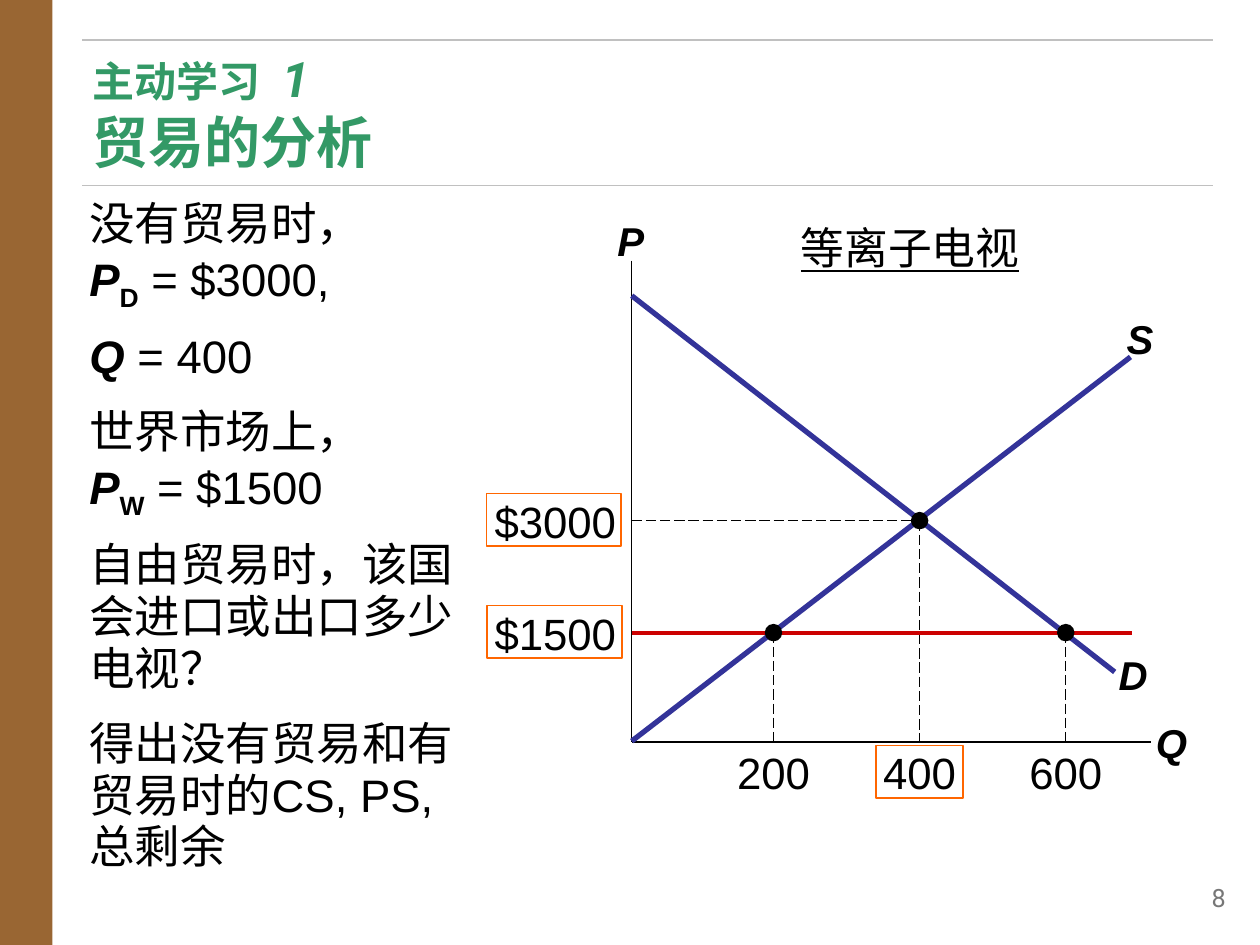
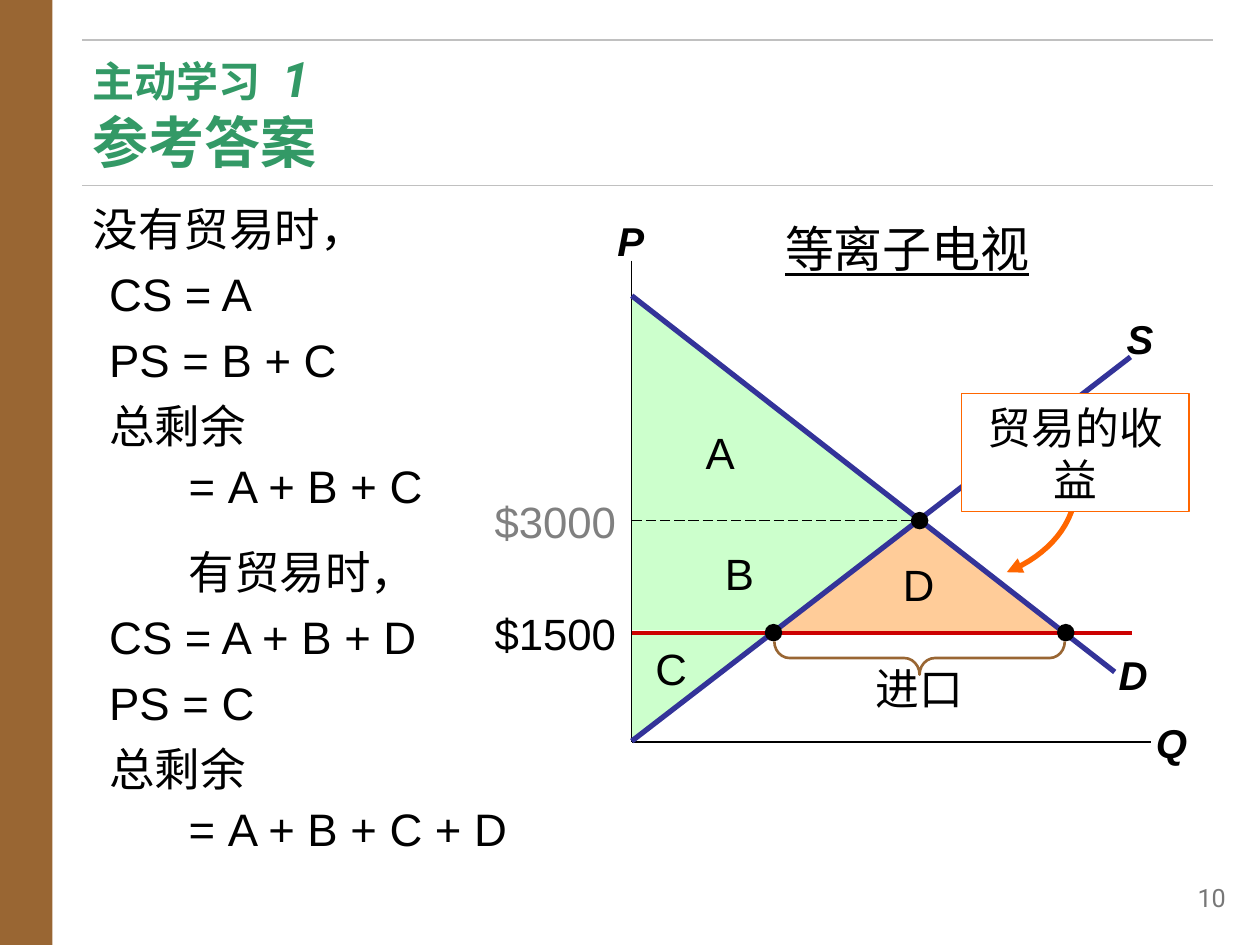
from lxml import etree
from pptx import Presentation
from pptx.dml.color import RGBColor
from pptx.enum import dml, shapes, text
from pptx.oxml import ns
from pptx.util import Pt

BROWN, GREEN, RULE, PAGE_GREY = "996633", "339966", "C0C0C0", "777777"
BLACK, WHITE, BLUE, RED, ORANGE = "000000", "FFFFFF", "333399", "CC0000", "FF6600"
SURPLUS, GAINS, FADED = "CCFFCC", "FFCC99", "808080"
VARIABLE = {"bold": True, "italic": True}
CENTER, RIGHT = text.PP_ALIGN.CENTER, text.PP_ALIGN.RIGHT
TOP, MIDDLE = text.MSO_ANCHOR.TOP, text.MSO_ANCHOR.MIDDLE

AXIS_X, AXIS_Y = 361, 424
DOMESTIC_Y, WORLD_Y = 297.5, 361.5
QUANTITIES = {name: 442 + 83.5 * i for i, name in enumerate(("200", "400", "600"))}
SUPPLIED, TRADELESS, DEMANDED = QUANTITIES.values()


def color(value):
    """Turn a hex string into a colour."""
    return RGBColor.from_string(value)


class Deck:
    """Holds the style and the current slide."""

    def __init__(self):
        """Start an empty 10 by 7.5 inch presentation."""
        self.prs = Presentation()
        self.prs.slide_width, self.prs.slide_height = Pt(720), Pt(540)
        self.slide = None

    def page(self, heading, number):
        """Add a slide with band, rules, heading and page number."""
        self.slide = self.prs.slides.add_slide(self.prs.slide_layouts[6])
        self.shape("RECTANGLE", 0, 0, 30, 540, fill=BROWN)
        title = {"name": "Roboto", "size": Pt(24), "bold": True}
        runs = [("主动学习\t", {}), ("1", {"size": Pt(28), "italic": True}),
                ("\n" + heading, {"size": Pt(32), "name": "Vollkorn"})]
        self.text([(runs, {})], 46, 28, 647, 75, title, GREEN, tab=114)
        for y in (23, 106):
            self.line(47, y, 693, y, RULE, 1)
        self.label(number, 650, 504, 50.5, 18, 14.4, PAGE_GREY, RIGHT, name="Roboto")

    def shape(self, kind, x, y, w, h, fill=None, line=None, width=1):
        """Add a preset shape."""
        shape = self.slide.shapes.add_shape(
            shapes.MSO_SHAPE[kind], Pt(x), Pt(y), Pt(w), Pt(h))
        shape.shadow.inherit = False
        self.paint(shape, fill, line, width)
        return shape

    def paint(self, shape, fill, line, width):
        """Set fill and outline of a shape, None meaning empty."""
        for target, value in ((shape.fill, fill), (shape.line.fill, line)):
            if value:
                target.solid()
                target.fore_color.rgb = color(value)
            else:
                target.background()
        if line:
            shape.line.width = Pt(width)

    def line(self, x1, y1, x2, y2, ink=BLACK, width=0.75, dashed=False):
        """Add a straight line."""
        line = self.slide.shapes.add_connector(
            shapes.MSO_CONNECTOR.STRAIGHT, Pt(x1), Pt(y1), Pt(x2), Pt(y2))
        line.line.color.rgb = color(ink)
        line.line.width = Pt(width)
        if dashed:
            line.line.dash_style = dml.MSO_LINE.LONG_DASH
        etree.SubElement(line._element.spPr, ns.qn("a:effectLst"))

    def curved_arrow(self, tip, pull_tip, pull_tail, tail, ink, width):
        """Add a Bezier curve with an arrowhead at the tip."""
        steps = [i / 16 for i in range(17)]
        points = [tuple(Pt((1 - t) ** 3 * a + 3 * t * (1 - t) ** 2 * b
                           + 3 * t * t * (1 - t) * c + t ** 3 * d)
                        for a, b, c, d in zip(tip, pull_tip, pull_tail, tail))
                  for t in steps]
        builder = self.slide.shapes.build_freeform(*points[0])
        builder.add_line_segments(points[1:], close=False)
        arrow = builder.convert_to_shape()
        arrow.shadow.inherit = False
        self.paint(arrow, None, ink, width)
        etree.SubElement(arrow.line._get_or_add_ln(), ns.qn("a:headEnd"), type="triangle")

    def text(self, paragraphs, x, y, w, h, font, ink=BLACK, anchor=TOP,
             inset=(7.2, 0), tab=None):
        """Add a text box of (runs, paragraph format) pairs."""
        box = self.slide.shapes.add_textbox(Pt(x), Pt(y), Pt(w), Pt(h))
        self.fill_frame(box.text_frame, paragraphs, font, ink, anchor, inset, tab)

    def fill_frame(self, frame, paragraphs, font, ink=BLACK, anchor=MIDDLE,
                   inset=(7.2, 3.6), tab=None):
        """Fill a text frame."""
        side, edge = (Pt(value) for value in inset)
        layout = {"word_wrap": True, "vertical_anchor": anchor, "margin_left": side,
                  "margin_right": side, "margin_top": edge, "margin_bottom": edge}
        for key, value in layout.items():
            setattr(frame, key, value)
        for i, (runs, form) in enumerate(paragraphs):
            paragraph = frame.add_paragraph() if i else frame.paragraphs[0]
            props = paragraph._p.get_or_add_pPr()
            form = dict(form)
            for key in ("marL", "indent"):
                props.set(key, str(Pt(form.pop(key, 0))))
            if tab:
                stops = etree.SubElement(props, ns.qn("a:tabLst"))
                etree.SubElement(stops, ns.qn("a:tab"), pos=str(Pt(tab)), algn="l")
            if not i:
                form["space_before"] = Pt(0)
            for key, value in form.items():
                setattr(paragraph, key, value)
            for words, extra in runs:
                self.run(paragraph, words, {**font, **extra}, ink)

    def run(self, paragraph, words, font, ink):
        """Add words in one format, with a line break at each newline."""
        baseline = font.pop("baseline", None)
        for i, piece in enumerate(words.split("\n")):
            if i:
                paragraph.add_line_break()
            if not piece:
                continue
            run = paragraph.add_run()
            run.text = piece
            for key, value in font.items():
                setattr(run.font, key, value)
            run.font.color.rgb = color(ink)
            if baseline:
                run._r.get_or_add_rPr().set("baseline", str(baseline))

    def label(self, words, x, y, w, h, size=25, ink=BLACK, align=CENTER, **extra):
        """Add a one-line label without insets."""
        font = {"name": "Arial", "size": Pt(size), **extra}
        self.text([([(words, {})], {"alignment": align})], x, y, w, h, font, ink,
                  MIDDLE, (0, 0))

    def body(self, paragraphs, x, y, w, h):
        """Add the main text."""
        self.text(paragraphs, x, y, w, h, {"name": "Arial", "size": Pt(26)},
                  inset=(7.2, 3.6))

    def price(self, words, y, ink=BLACK):
        """Add a price label left of the vertical axis."""
        self.label(words, 272, y - 15, 80, 30, ink=ink, align=RIGHT)

    def dot(self, x, y):
        """Mark a point of the market diagram."""
        self.shape("OVAL", x - 5, y - 5, 10, 10, fill=BLACK)

    def market(self, domestic_ink=BLACK):
        """Draw axes, curves and prices with the three marked points."""
        self.line(AXIS_X, 149, AXIS_X, AXIS_Y)
        self.line(AXIS_X, AXIS_Y, 658, AXIS_Y)
        self.line(AXIS_X, 169, 637, 384, BLUE, 3)
        self.line(AXIS_X, 423.5, 646, 204, BLUE, 3)
        for name, x, y in (("P", 346, 120), ("Q", 655, 407), ("D", 633, 368), ("S", 637, 176)):
            self.label(name, x, y, 29, 35, 23, **VARIABLE)
        self.line(AXIS_X, WORLD_Y, 647, WORLD_Y, RED, 2.25)
        self.line(AXIS_X, DOMESTIC_Y, TRADELESS, DOMESTIC_Y, dashed=True)
        self.price("$1500", WORLD_Y)
        self.price("$3000", DOMESTIC_Y, domestic_ink)
        for x, y in ((SUPPLIED, WORLD_Y), (TRADELESS, DOMESTIC_Y), (DEMANDED, WORLD_Y)):
            self.dot(x, y)


def question(deck):
    """Build the slide that sets the exercise."""
    deck.page("贸易的分析", "8")
    index = {"bold": True, "baseline": -25000}
    texts = [
        [("没有贸易时，\n", {}), ("P", VARIABLE), ("D", index), (" = $3000,", {})],
        [("Q", VARIABLE), (" = 400", {})],
        [("世界市场上，\n", {}), ("P", VARIABLE), ("W", index), (" = $1500", {})],
        [("自由贸易时，该国会进口或出口多少电视？", {})],
        [("得出没有贸易和有贸易时的CS, PS, 总剩余", {})]]
    spacing = {"line_spacing": 0.95, "space_before": Pt(13)}
    deck.body([(runs, spacing) for runs in texts], 44, 110, 230, 415)
    for (name, x), y in zip(QUANTITIES.items(), (WORLD_Y, DOMESTIC_Y, WORLD_Y)):
        deck.line(x, y, x, AXIS_Y, dashed=True)
        deck.label(name, x - 29, 426, 58, 30)
    deck.market()
    deck.label("等离子电视", 445, 126, 150, 30, underline=True)
    for x, y, w in ((500.5, 426, 50), (278, 282, 77), (278.5, 346, 77)):
        deck.shape("RECTANGLE", x, y, w, 30, line=ORANGE)


def answer(deck):
    """Build the slide with the solution."""
    deck.page("参考答案", "10")
    deck.shape("RIGHT_TRIANGLE", AXIS_X, 170.5, 244, 189.5, fill=SURPLUS)
    deck.shape("ISOSCELES_TRIANGLE", 443, 297, 164, 64, fill=GAINS)
    producer = deck.shape("RIGHT_TRIANGLE", AXIS_X, WORLD_Y, 78.5, 61, fill=SURPLUS)
    producer._element.spPr.xfrm.set("flipV", "1")
    heading = {"line_spacing": 1.1, "space_before": Pt(14.6)}
    second = {**heading, "marL": 54.7}
    item = {"line_spacing": 1.1, "space_before": Pt(3.3), "marL": 54.7, "indent": -45.4}
    texts = [("没有贸易时，", heading), ("CS = A", item), ("PS = B + C", item),
             ("总剩余\n= A + B + C", item), ("有贸易时，", second),
             ("CS = A + B + D", item), ("PS = C", item),
             ("总剩余\n= A + B + C + D", item)]
    deck.body([([(words, {})], form) for words, form in texts], 46, 108, 284, 426)
    deck.market(FADED)
    deck.label("等离子电视", 443.5, 124.5, 150, 34, 28, underline=True)
    for area, x, y in (("A", 411.5, 258.5), ("B", 422.5, 327.5),
                       ("D", 525, 334), ("C", 383.5, 382)):
        deck.label(area, x - 17, y - 15, 34, 30)
    deck.curved_arrow((575.3, 327), (599, 317.5), (615, 299), (615, 277), ORANGE, 3)
    gains = deck.shape("RECTANGLE", 549.5, 225, 130, 67.5, WHITE, ORANGE, 0.75)
    deck.fill_frame(gains.text_frame, [([("贸易的收益", {})], {"alignment": CENTER})],
                    {"name": "Arial", "size": Pt(25)})
    brace = deck.shape("LEFT_BRACE", 516, 293, 19, 166, line=BROWN, width=1.5)
    brace.rotation = 270
    brace.adjustments[0] = 0.46
    deck.label("进口", 476, 378, 99, 30)


def main():
    """Build and save the slides."""
    deck = Deck()
    question(deck)
    answer(deck)
    deck.prs.save("out.pptx")


if __name__ == "__main__":
    main()
